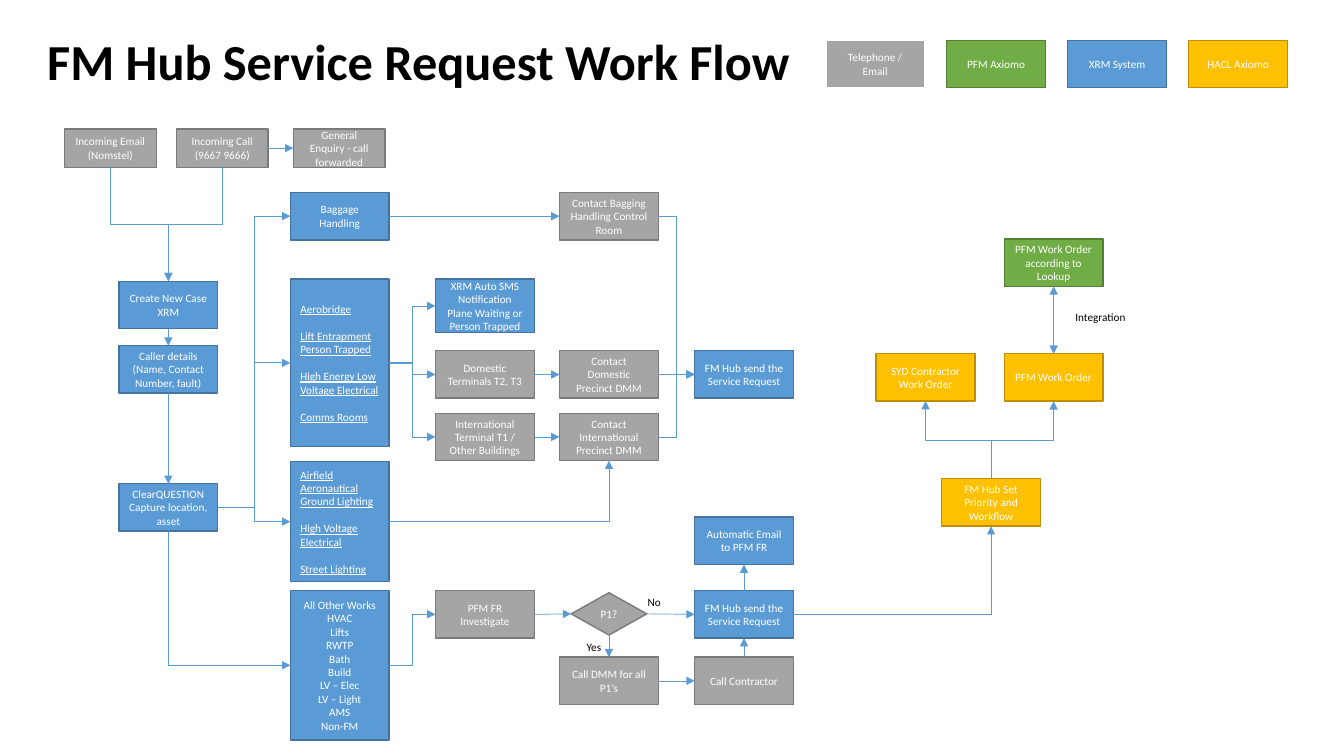
from lxml import etree
from pptx import Presentation
from pptx.dml.color import RGBColor
from pptx.enum.shapes import MSO_CONNECTOR, MSO_SHAPE
from pptx.enum.text import MSO_ANCHOR, PP_ALIGN
from pptx.oxml.ns import qn
from pptx.util import Inches, Pt

BOX, GEM = MSO_SHAPE.FLOWCHART_PROCESS, MSO_SHAPE.DIAMOND
LINE, ELBOW = MSO_CONNECTOR.STRAIGHT, MSO_CONNECTOR.ELBOW
LEFT, MID = PP_ALIGN.LEFT, PP_ALIGN.CENTER
TOP, CORE, BASE = MSO_ANCHOR.TOP, MSO_ANCHOR.MIDDLE, MSO_ANCHOR.BOTTOM

WHITE, BLACK = RGBColor(255, 255, 255), RGBColor(0, 0, 0)
FLOW = RGBColor(0x5B, 0x9B, 0xD5)
# Each system has a fill and an edge colour
PHONE = RGBColor(0xA5, 0xA5, 0xA5), RGBColor(0x7A, 0x7A, 0x7A)
XRM = FLOW, RGBColor(0x43, 0x73, 0x9E)
GREEN = RGBColor(0x70, 0xAD, 0x47), RGBColor(0x53, 0x80, 0x35)
GOLD = RGBColor(0xFF, 0xC0, 0x00), RGBColor(0xBD, 0x8E, 0x00)
KEY = PHONE[0], WHITE

# Grid: left edges of the columns and top edges of the rows, in inches
CASE, TOPIC, CHECK, CALL, SEND, TRADE, RANK, WORK = (
    1.18, 2.88, 4.32, 5.55, 6.89, 8.69, 9.34, 9.96)
LEGEND, INTAKE, BAGS, LOOKUP, ALERT, HOME, WORLD, RATE, MAIL, OTHER, LAST = (
    0.4, 1.28, 1.91, 2.37, 2.77, 3.48, 4.1, 4.75, 5.13, 5.86, 6.52)
WIDE, HIGH = 0.98, 0.47
SMALL, LOW = 0.91, 0.38

deck = Presentation()
deck.slide_width, deck.slide_height = Inches(13.33), Inches(7.5)
slide = deck.slides.add_slide(deck.slide_layouts[6])


def write(shape, paras, size, color, align=MID, anchor=CORE, gap=0,
          bold=None, under=None):
    """Fill a shape with one run per paragraph."""
    frame = shape.text_frame
    frame.word_wrap = True
    frame.vertical_anchor = anchor
    for i, words in enumerate(paras):
        para = frame.add_paragraph() if i else frame.paragraphs[0]
        para.alignment = align
        para.space_before = Pt(gap if i else 0)
        run = para.add_run()
        run.text = words
        font = run.font
        font.name, font.size, font.bold = "Calibri", Pt(size), bold
        font.underline = under
        font.color.rgb = color
    return frame


def join(start, out, end, into, bend=0, both=False):
    """Glue an arrow between two sides; bend picks the elbow type."""
    wire = slide.shapes.add_connector(ELBOW if bend else LINE, 0, 0, 0, 0)
    wire.begin_connect(start, out)
    wire.end_connect(end, into)
    props = wire._element.spPr
    if bend:
        props.find(qn("a:prstGeom")).set("prst", f"bentConnector{bend}")
    if bend and out in (N, S):
        # An elbow that leaves up or down is a turned sideways elbow
        dx, dy = wire.end_x - wire.begin_x, wire.end_y - wire.begin_y
        mid_x, mid_y = wire.begin_x + dx // 2, wire.begin_y + dy // 2
        wire.width, wire.height = abs(dy), abs(dx)
        wire.left, wire.top = mid_x - abs(dy) // 2, mid_y - abs(dx) // 2
        turn = props.find(qn("a:xfrm"))
        turn.set("rot", str((90 if dy > 0 else 270) * 60000))
        turn.set("flipH", "0")
        turn.set("flipV", "1" if (dx > 0) == (dy > 0) else "0")
    wire.line.color.rgb, wire.line.width = FLOW, Pt(0.5)
    edge = props.find(qn("a:ln"))
    for tag in ("a:headEnd", "a:tailEnd") if both else ("a:tailEnd",):
        etree.SubElement(edge, qn(tag), type="triangle")
    etree.SubElement(props, qn("a:effectLst"))


# Title and free labels
notes = [
    ("FM Hub Service Request Work Flow", 0.37, 0.36, 12.13, 0.6, 36, LEFT, BASE, True),
    ("Integration", 10.45, 3.03, 0.93, 0.24, 8, MID, TOP, None),
    ("No", 6.28, OTHER, 0.42, 0.24, 8, MID, TOP, None),
    ("Yes", 5.68, 6.3, 0.42, 0.24, 8, MID, TOP, None),
]
for words, x, y, w, h, size, align, anchor, bold in notes:
    label = slide.shapes.add_textbox(*map(Inches, (x, y, w, h)))
    frame = write(label, [words], size, BLACK, align, anchor, bold=bold)
    if bold:
        frame.paragraphs[0].line_spacing = 0.9

# Boxes: name, text, system, left, top, then width and height if not standard
works = ["All Other Works", "HVAC", "Lifts", "RWTP", "Bath", "Build",
         "LV – Elec", "LV – Light", "AMS", "Non-FM"]
urgent = ["Aerobridge", "Lift Entrapment Person Trapped",
          "High Energy Low Voltage Electrical", "Comms Rooms"]
field = ["Airfield Aeronautical Ground Lighting", "High Voltage Electrical",
         "Street Lighting"]
request = ["FM Hub send the Service Request"]
steps = [
    ("email", ["Incoming Email (Nomstel)"], PHONE, 0.64, INTAKE, SMALL, LOW),
    ("phone", ["Incoming Call (9667 9666)"], PHONE, 1.75, INTAKE, SMALL, LOW),
    ("query", ["General Enquiry - call forwarded"], PHONE, 2.91, INTAKE, SMALL, LOW),
    ("case", ["Create New Case XRM"], XRM, CASE, 2.79),
    ("caller", ["Caller details (Name, Contact Number, fault)"], XRM, CASE, 3.43),
    ("ask", ["ClearQUESTION Capture location, asset"], XRM, CASE, 4.8),
    ("bags", ["Baggage Handling"], XRM, TOPIC, BAGS),
    ("urgent", urgent, XRM, TOPIC, ALERT, WIDE, 1.66),
    ("field", field, XRM, TOPIC, 4.58, WIDE, 1.19),
    ("works", works, XRM, TOPIC, OTHER, WIDE, 1.48),
    ("alert", ["XRM Auto SMS Notification Plane Waiting or Person Trapped"],
     XRM, CHECK, ALERT, WIDE, 0.53),
    ("home", ["Domestic Terminals T2, T3"], PHONE, CHECK, HOME),
    ("world", ["International Terminal T1 / Other Buildings"], PHONE, CHECK, WORLD),
    ("probe", ["PFM FR Investigate"], PHONE, CHECK, OTHER),
    ("room", ["Contact Bagging Handling Control Room"], PHONE, CALL, BAGS),
    ("near", ["Contact Domestic Precinct DMM"], PHONE, CALL, HOME),
    ("far", ["Contact International Precinct DMM"], PHONE, CALL, WORLD),
    ("first", ["P1?"], PHONE, CALL + (WIDE - 0.75) / 2, 5.88, 0.75, 0.42),
    ("dmm", ["Call DMM for all P1’s"], PHONE, CALL, LAST),
    ("send", request, XRM, SEND, HOME),
    ("mail", ["Automatic Email to PFM FR"], XRM, SEND, MAIL),
    ("resend", request, XRM, SEND, OTHER),
    ("trade", ["Call Contractor"], PHONE, SEND, LAST),
    ("rank", ["FM Hub Set Priority and Workflow"], GOLD, RANK, RATE),
    ("job", ["SYD Contractor Work Order"], GOLD, TRADE, 3.51),
    ("order", ["PFM Work Order"], GOLD, WORK, 3.51),
    ("lookup", ["PFM Work Order according to Lookup"], GREEN, WORK, LOOKUP),
]
legend = [("Telephone / Email", KEY), ("PFM Axiomo", GREEN),
          ("XRM System", XRM), ("HACL Axiomo", GOLD)]
steps += [(words, [words], tone, 8.19 + 1.2 * i, LEGEND)
          for i, (words, tone) in enumerate(legend)]

node = {}
for name, paras, (fill, edge), x, y, *size in steps:
    w, h = size or (WIDE, HIGH)
    box = slide.shapes.add_shape(GEM if name == "first" else BOX,
                                 *map(Inches, (x, y, w, h)))
    box.shadow.inherit = False
    box.fill.solid()
    box.fill.fore_color.rgb = fill
    box.line.color.rgb = edge
    box.line.width = Pt(1.5 if edge == WHITE else 1)
    listed = name in ("urgent", "field")
    write(box, paras, 8, WHITE, LEFT if listed else MID,
          gap=9.6 if listed else 0, under=listed or None)
    node[name] = box

# Arrows: sides are numbered as connection sites
N, W, S, E = range(4)
links = [
    ("phone", E, "query", W), ("email", S, "case", N, 3), ("phone", S, "case", N, 3),
    ("case", S, "caller", N), ("caller", S, "ask", N),
    ("ask", E, "bags", W, 3), ("ask", E, "urgent", W, 3), ("ask", E, "field", W, 3),
    ("ask", S, "works", W, 2), ("bags", E, "room", W),
    ("urgent", E, "alert", W, 3), ("urgent", E, "home", W, 3),
    ("urgent", E, "world", W, 3), ("field", E, "far", S, 2),
    ("works", E, "probe", W, 3), ("home", E, "near", W), ("world", E, "far", W),
    ("room", E, "send", W, 3), ("near", E, "send", W), ("far", E, "send", W, 3),
    ("probe", E, "first", W), ("first", E, "resend", W), ("first", S, "dmm", N),
    ("dmm", E, "trade", W), ("trade", N, "resend", S), ("resend", N, "mail", S),
    ("resend", E, "rank", S, 2), ("rank", N, "job", S, 3), ("rank", N, "order", S, 3),
    ("lookup", S, "order", N, 0, True),
]
for start, out, end, into, *style in links:
    join(node[start], out, node[end], into, *style)

deck.save("out.pptx")
